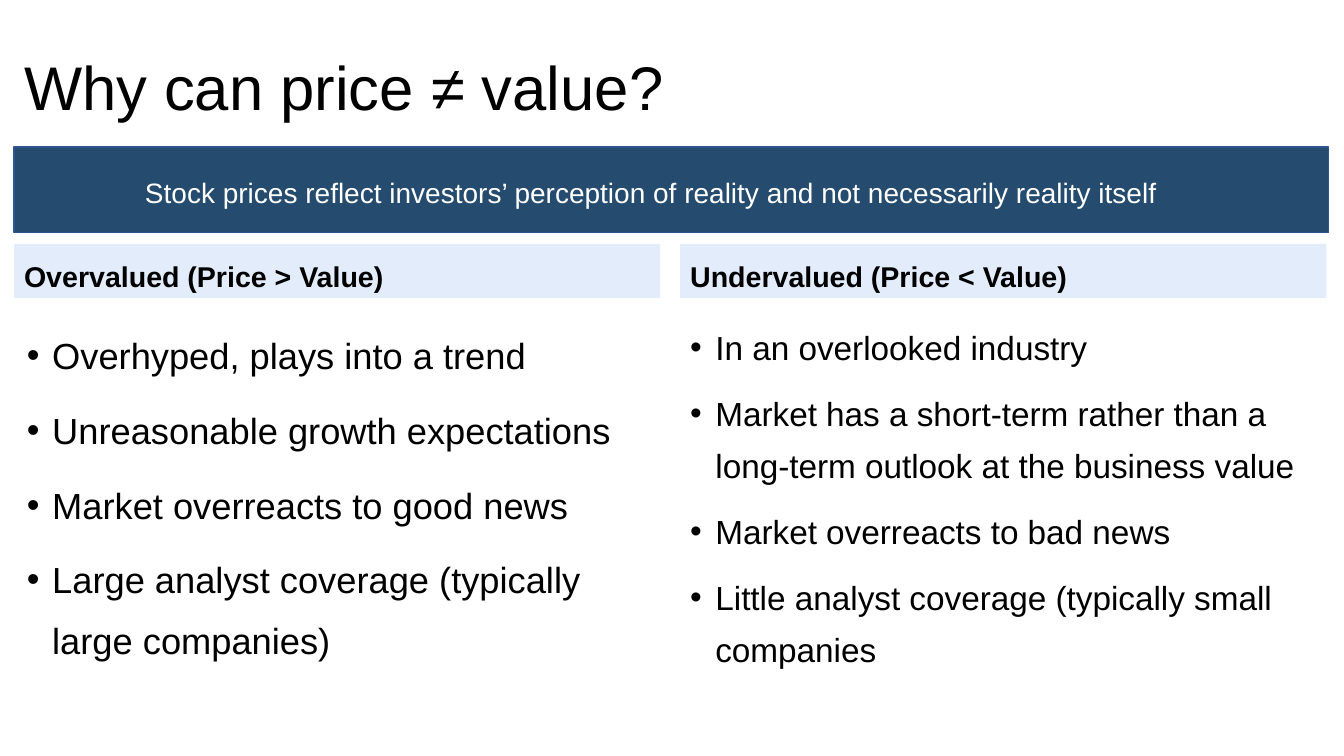
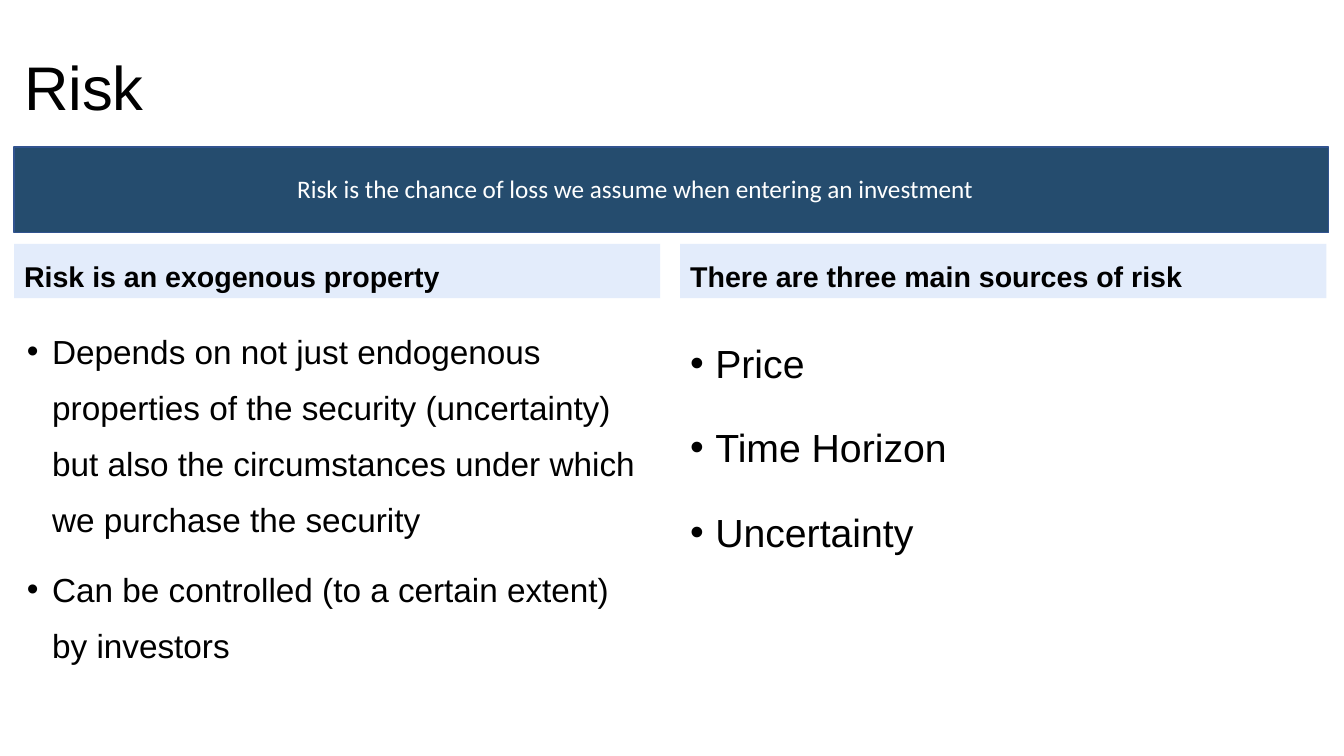
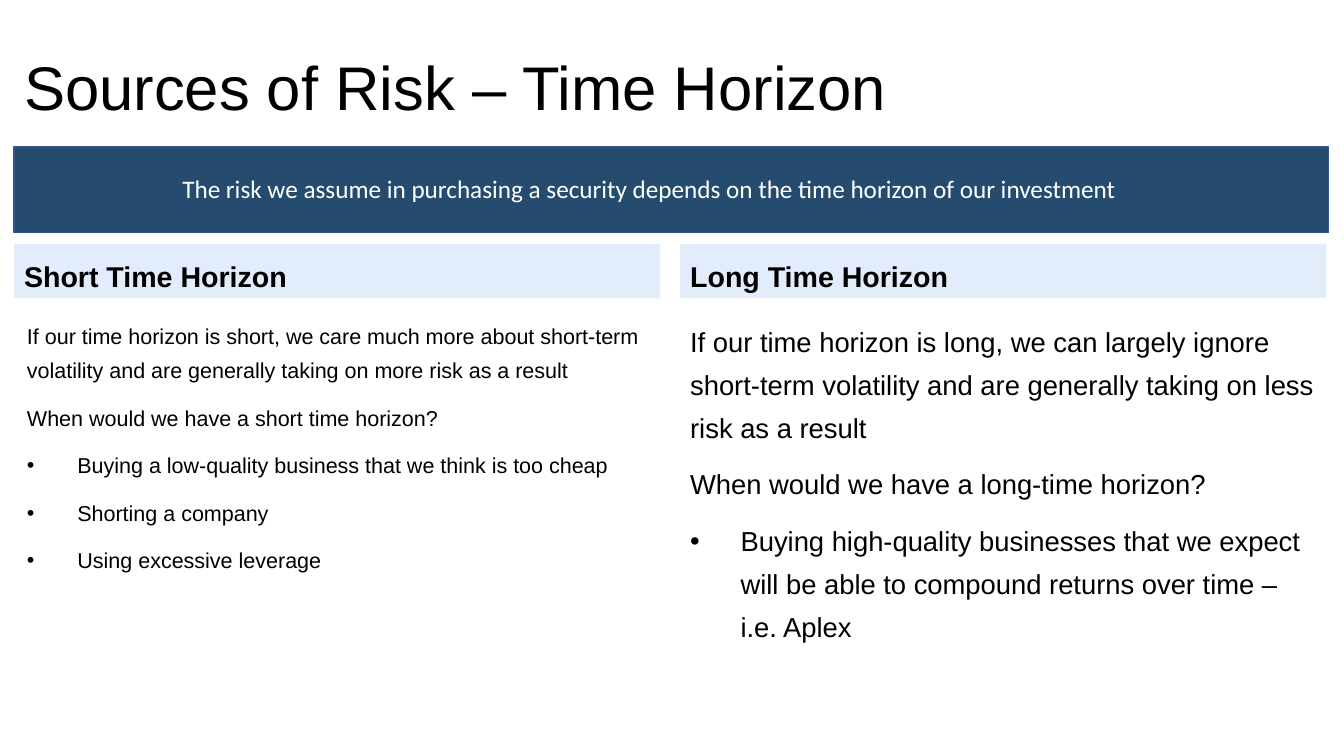
"""Builds three two-column slides on price, value and risk."""
import lxml.etree
import pptx
import pptx.util
import pptx.dml.color
import pptx.enum.shapes
import pptx.enum.text
import pptx.oxml.ns

Pt = pptx.util.Pt
ANCHOR = pptx.enum.text.MSO_ANCHOR

COLORS = {"band": "254C6E", "band_edge": "31538F", "heading": "E3ECFB",
          "text": "000000", "message": "FFFFFF"}

SLIDES = [
    {
        "title": "Why can price ≠ value?",
        "message": {
            "text": "Stock prices reflect investors’ perception of reality "
                    "and not necessarily reality itself",
            "box": (96.5, 121.7, 751.7, 31.7), "size": 20, "font": "Arial"},
        "columns": [
            {"heading": "Overvalued (Price > Value)",
             "size": 25.9, "spacing": 1.4, "indent": 18, "intro": [],
             "bullets": ["Overhyped, plays into a trend",
                         "Unreasonable growth expectations",
                         "Market overreacts to good news",
                         "Large analyst coverage (typically large companies)"]},
            {"heading": "Undervalued (Price < Value)",
             "size": 23.8, "spacing": 1.3, "indent": 18, "intro": [],
             "bullets": ["In an overlooked industry",
                         "Market has a short-term rather than a long-term "
                         "outlook at the business value",
                         "Market overreacts to bad news",
                         "Little analyst coverage (typically small companies"]},
        ],
    },
    {
        "title": "Risk",
        "message": {
            "text": "Risk is the chance of loss we assume when entering "
                    "an investment",
            "box": (205.2, 120.2, 761.8, 28.8), "size": 18, "font": "Calibri"},
        "columns": [
            {"heading": "Risk is an exogenous property",
             "size": 23.8, "spacing": 1.4, "indent": 18, "intro": [],
             "bullets": ["Depends on not just endogenous properties of the "
                         "security (uncertainty) but also the circumstances "
                         "under which we purchase the security",
                         "Can be controlled (to a certain extent) by investors"]},
            {"heading": "There are three main sources of risk",
             "size": 28, "spacing": 1.5, "indent": 18, "intro": [],
             "bullets": ["Price", "Time Horizon", "Uncertainty"]},
        ],
    },
    {
        "title": "Sources of Risk – Time Horizon",
        "message": {
            "text": "The risk we assume in purchasing a security depends on "
                    "the time horizon of our investment",
            "box": (123.1, 120.2, 761.8, 28.8), "size": 18, "font": "Calibri"},
        "columns": [
            {"heading": "Short Time Horizon",
             "size": 15.4, "spacing": 1.3, "indent": 36,
             "intro": ["If our time horizon is short, we care much more about "
                       "short-term volatility and are generally taking on "
                       "more risk as a result",
                       "When would we have a short time horizon?"],
             "bullets": ["Buying a low-quality business that we think is too cheap",
                         "Shorting a company",
                         "Using excessive leverage"]},
            {"heading": "Long Time Horizon",
             "size": 19.6, "spacing": 1.3, "indent": 36,
             "intro": ["If our time horizon is long, we can largely ignore "
                       "short-term volatility and are generally taking on "
                       "less risk as a result",
                       "When would we have a long-time horizon?"],
             "bullets": ["Buying high-quality businesses that we expect will be "
                         "able to compound returns over time – i.e. Aplex"]},
        ],
    },
]

LEFT, WIDTH = 10.1, 938.9
TITLE_BOX = (LEFT, 28.8, WIDTH, 72)
BAND_BOX = (LEFT, 105.1, WIDTH, 61.2)
COLUMN_WIDTH, COLUMN_STEP = 461.5, 475.8
HEADING_TOP, HEADING_HEIGHT = 174.2, 38.9
BODY_TOP, BODY_HEIGHT = 221.8, 265.7
BODY_INSETS = (2.1, 0)
PARAGRAPH_GAP = 10


def rgb(name):
    return pptx.dml.color.RGBColor.from_string(COLORS[name])


def add_text(slide, box, text, size, font="Arial", color="text", bold=False,
             spacing=None, anchor=ANCHOR.TOP):
    area = slide.shapes.add_textbox(*map(Pt, box))
    frame = area.text_frame
    frame.word_wrap = True
    frame.vertical_anchor = anchor
    frame.text = text
    for paragraph in frame.paragraphs:
        paragraph.font.size = Pt(size)
        paragraph.font.name = font
        paragraph.font.bold = bold
        paragraph.font.color.rgb = rgb(color)
        if spacing:
            paragraph.line_spacing = spacing
    return area


def add_bullet(paragraph, indent):
    qn = pptx.oxml.ns.qn
    properties = paragraph._p.get_or_add_pPr()
    properties.set("marL", str(Pt(indent)))
    properties.set("indent", str(-Pt(indent)))
    color = lxml.etree.Element(qn("a:buClr"))
    lxml.etree.SubElement(color, qn("a:srgbClr"), val=COLORS["text"])
    font = lxml.etree.Element(qn("a:buFont"), typeface="Arial")
    mark = lxml.etree.Element(qn("a:buChar"), char="•")
    run_defaults = properties.find(qn("a:defRPr"))
    for part in (color, font, mark):
        run_defaults.addprevious(part)


def add_band(slide):
    band = slide.shapes.add_shape(
        pptx.enum.shapes.MSO_SHAPE.RECTANGLE, *map(Pt, BAND_BOX))
    band.shadow.inherit = False
    band.fill.solid()
    band.fill.fore_color.rgb = rgb("band")
    band.line.color.rgb = rgb("band_edge")
    band.line.width = Pt(1)


def add_column(slide, column, index):
    left = LEFT + index * COLUMN_STEP
    heading = add_text(
        slide, (left, HEADING_TOP, COLUMN_WIDTH, HEADING_HEIGHT),
        column["heading"], 20.4, bold=True, spacing=1.4, anchor=ANCHOR.BOTTOM)
    heading.fill.solid()
    heading.fill.fore_color.rgb = rgb("heading")

    inset = BODY_INSETS[index]
    body = add_text(
        slide, (left + inset, BODY_TOP, COLUMN_WIDTH - inset, BODY_HEIGHT),
        "\n".join(column["intro"] + column["bullets"]),
        column["size"], spacing=column["spacing"])
    paragraphs = body.text_frame.paragraphs
    for paragraph in paragraphs[1:]:
        paragraph.space_before = Pt(PARAGRAPH_GAP)
    for paragraph in paragraphs[len(column["intro"]):]:
        add_bullet(paragraph, column["indent"])


def main():
    deck = pptx.Presentation()
    deck.slide_width, deck.slide_height = Pt(960), Pt(540)
    for content in SLIDES:
        slide = deck.slides.add_slide(deck.slide_layouts[6])
        add_band(slide)
        for index, column in enumerate(content["columns"]):
            add_column(slide, column, index)
        add_text(slide, TITLE_BOX, content["title"], 44,
                 spacing=0.9, anchor=ANCHOR.MIDDLE)
        add_text(slide, color="message", **content["message"])
    deck.save("out.pptx")


if __name__ == "__main__":
    main()
